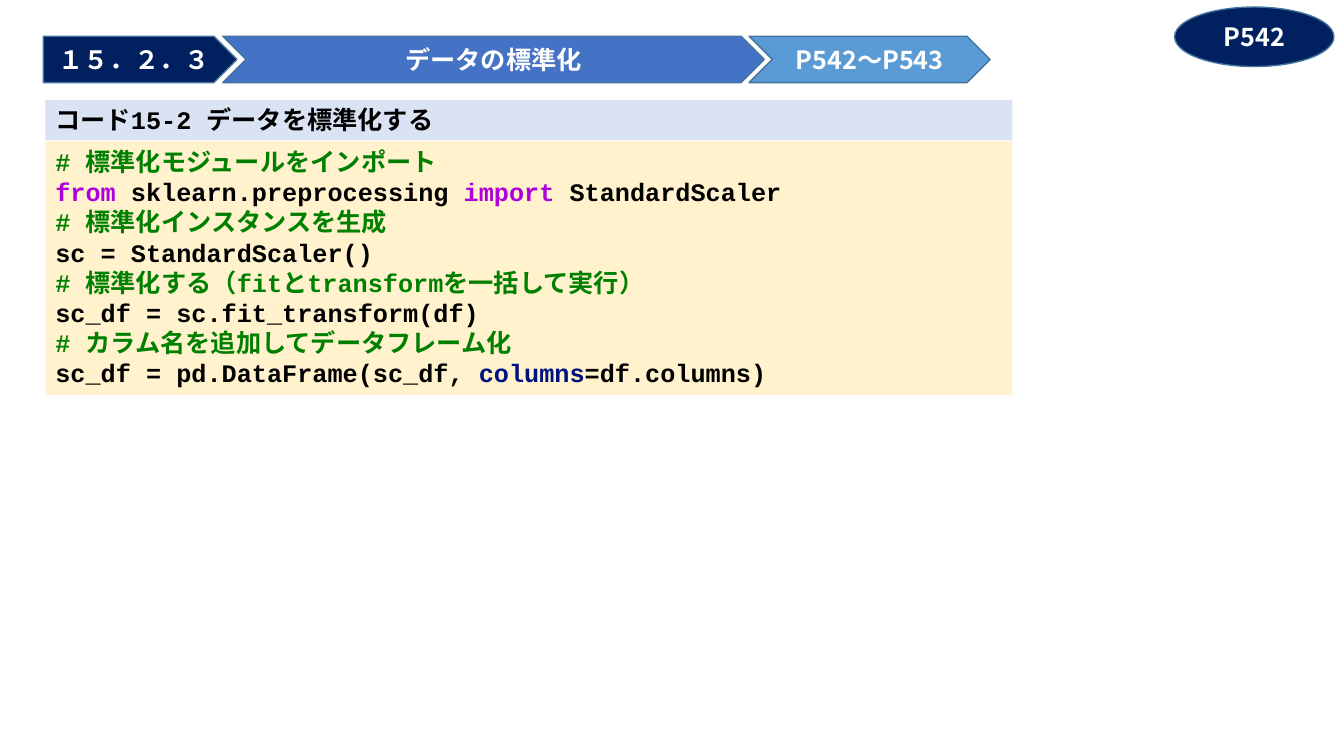
from dataclasses import dataclass

from lxml import etree
from pptx import Presentation
from pptx import util as u
from pptx.dml import color
from pptx.enum import shapes, text
from pptx.oxml import ns

PX = 9144  # EMU in one px, 100 px to the inch
CJK_FONT = "Noto Sans CJK JP"
CODE_FONT = "Courier New"
COLOURS = {
    "navy": "002060",
    "blue": "4472C4",
    "sky": "5B9BD5",
    "outline": "43739E",
    "cream": "FFF2CC",
    "pale": "DAE3F3",
    "white": "FFFFFF",
    "black": "000000",
    "comment": "008000",
    "keyword": "AF00DB",
    "argument": "001080",
}


@dataclass(frozen=True)
class Span:
    words: str
    colour: str = "black"


@dataclass(frozen=True)
class Box:
    kind: shapes.MSO_SHAPE
    left: int
    top: int
    width: int
    height: int
    fill: str
    lines: list[list[Span]]


def rgb(name: str) -> color.RGBColor:
    return color.RGBColor.from_string(COLOURS[name])


def label(words: str) -> list[list[Span]]:
    return [[Span(words, "white")]]


def comment(words: str) -> list[Span]:
    return [Span(words, "comment")]


def add_box(page, box: Box):
    """Draw a filled shape without outline or text."""
    edges = (box.left, box.top, box.width, box.height)
    shape = page.shapes.add_shape(box.kind, *(edge * PX for edge in edges))
    shape.shadow.inherit = False
    shape.fill.solid()
    shape.fill.fore_color.rgb = rgb(box.fill)
    shape.line.fill.background()
    return shape


def write_lines(shape, lines: list[list[Span]], font: str,
                align: text.PP_ALIGN, frame_format: dict) -> None:
    """Write one paragraph per line, one run per span."""
    frame = shape.text_frame
    for name, value in {"word_wrap": True, **frame_format}.items():
        setattr(frame, name, value)
    for number, line in enumerate(lines):
        para = frame.add_paragraph() if number else frame.paragraphs[0]
        para.alignment = align
        for span in line:
            run = para.add_run()
            run.text = span.words
            for name, value in {"name": font, "size": u.Pt(18), "bold": True}.items():
                setattr(run.font, name, value)
            run.font.color.rgb = rgb(span.colour)
            # East Asian typeface
            east_asian = etree.SubElement(run.font._element, ns.qn("a:ea"))
            east_asian.set("typeface", CJK_FONT)


def add_badge(page, box: Box) -> None:
    shape = add_box(page, box)
    shape.line.color.rgb = rgb("outline")
    shape.line.width = u.Pt(1)
    write_lines(shape, box.lines, CJK_FONT, text.PP_ALIGN.CENTER,
                {"vertical_anchor": text.MSO_ANCHOR.MIDDLE})


def add_panel(page, box: Box) -> None:
    write_lines(add_box(page, box), box.lines, CODE_FONT, text.PP_ALIGN.LEFT,
                {"vertical_anchor": text.MSO_ANCHOR.TOP,
                 "auto_size": text.MSO_AUTO_SIZE.SHAPE_TO_FIT_TEXT})


# Heading arrows and page mark
KIND = shapes.MSO_SHAPE
BADGES = [
    Box(KIND.PENTAGON, 43, 36, 192, 46, "navy", label("１５．２．３")),
    Box(KIND.CHEVRON, 221, 36, 537, 46, "blue", label("データの標準化")),
    Box(KIND.CHEVRON, 743, 36, 239, 46, "sky", label("P542～P543")),
    Box(KIND.OVAL, 1165, 7, 158, 59, "navy", label("P542")),
]

# Code listing and its caption
CODE = [
    comment("# 標準化モジュールをインポート"),
    [Span("from", "keyword"), Span(" sklearn.preprocessing "),
     Span("import", "keyword"), Span(" StandardScaler")],
    comment("# 標準化インスタンスを生成"),
    [Span("sc = StandardScaler()")],
    comment("# 標準化する（fitとtransformを一括して実行）"),
    [Span("sc_df = sc.fit_transform(df)")],
    comment("# カラム名を追加してデータフレーム化"),
    [Span("sc_df = pd.DataFrame(sc_df, "), Span("columns", "argument"),
     Span("=df.columns)")],
]
PANELS = [
    Box(KIND.RECTANGLE, 45, 140, 959, 252, "cream", CODE),
    Box(KIND.RECTANGLE, 45, 99, 959, 40, "pale",
        [[Span("コード15-2 データを標準化する")]]),
]


def main() -> None:
    deck = Presentation()
    deck.slide_width, deck.slide_height = 1333 * PX, 750 * PX
    page = deck.slides.add_slide(deck.slide_layouts[6])
    for badge in BADGES:
        add_badge(page, badge)
    for panel in PANELS:
        add_panel(page, panel)
    deck.save("out.pptx")


if __name__ == "__main__":
    main()
